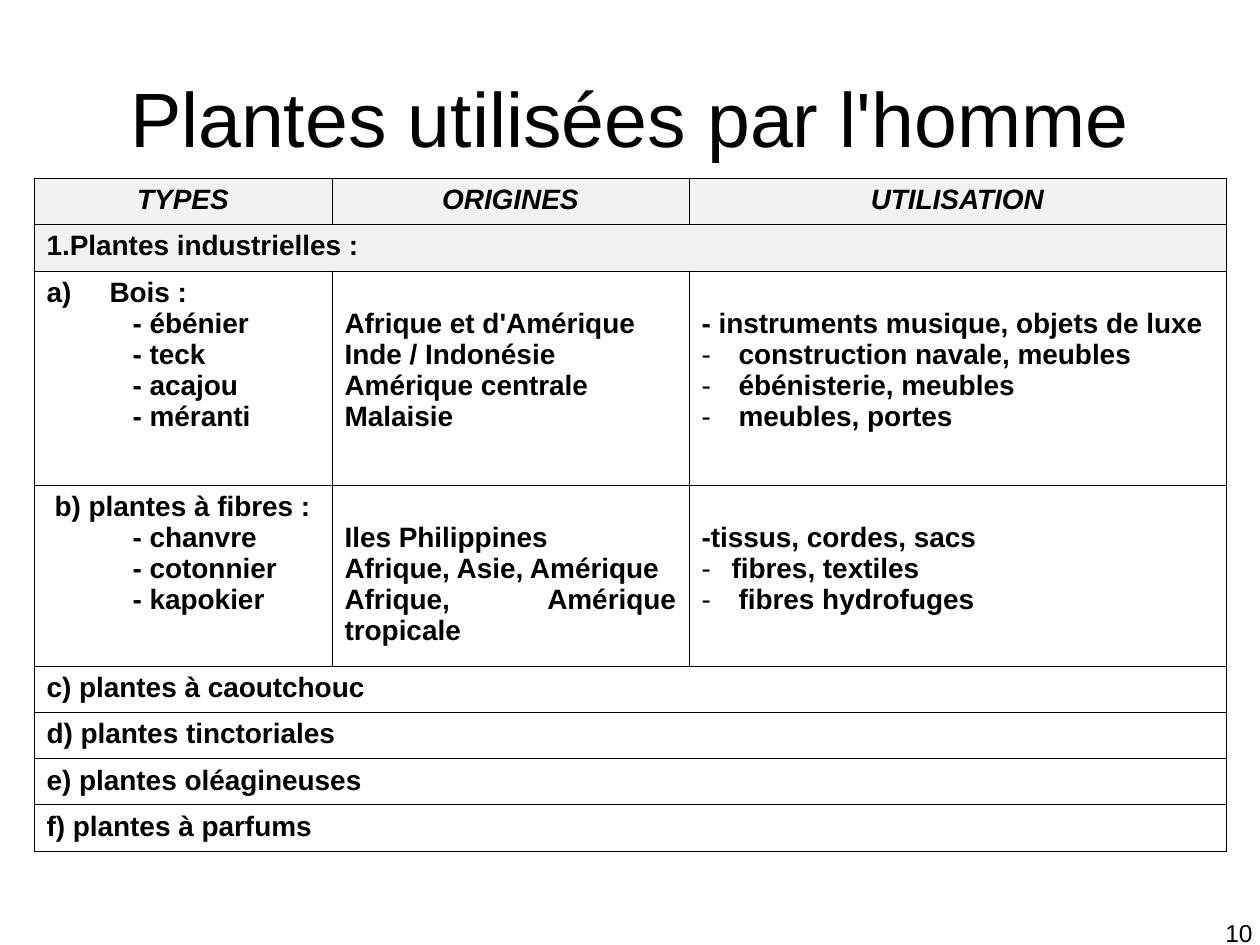
from itertools import pairwise

from lxml.etree import SubElement
from pptx import Presentation
from pptx.dml.color import RGBColor
from pptx.enum.text import MSO_ANCHOR, MSO_AUTO_SIZE, PP_ALIGN
from pptx.oxml.ns import qn
from pptx.util import Emu, Pt

TITLE = "Plantes utilisées par l'homme"
PAGE_NUMBER = "10"
HEADINGS = ["TYPES", "ORIGINES", "UTILISATION"]
SECTION = "1.Plantes industrielles :"

# Each line is (text, line style); the plant groups have one column per heading.
WOOD = [
    [("Bois :", "letter"), ("- ébénier", "item"), ("- teck", "item"),
     ("- acajou", "item"), ("- méranti", "item")],
    [("Afrique et d'Amérique", "plain"), ("Inde / Indonésie", "plain"),
     ("Amérique centrale", "plain"), ("Malaisie", "plain")],
    [("- instruments musique, objets de luxe", "plain"),
     ("construction navale, meubles", "dash"),
     ("ébénisterie, meubles", "dash"), ("meubles, portes", "dash")],
]
FIBRES = [
    [("b) plantes à fibres :", "group"), ("- chanvre", "item"),
     ("- cotonnier", "item"), ("- kapokier", "item")],
    [("Iles Philippines", "plain"), ("Afrique, Asie, Amérique", "plain"),
     ("Afrique, Amérique tropicale", "plain")],
    [("-tissus, cordes, sacs", "plain"), ("fibres, textiles", "short dash"),
     ("fibres hydrofuges", "dash")],
]
OTHER_GROUPS = ["c) plantes à caoutchouc", "d) plantes tinctoriales",
                "e) plantes oléagineuses", "f) plantes à parfums"]

THEME = {
    "font": "Arial", "ink": "000000", "shade": "F2F2F2",
    "title": 44, "table": 16, "page": 14, "border": 0.45,
}
LINE_STYLES = {
    "plain": {},
    "group": {"margin": 8},
    "item": {"margin": 86},
    "letter": {"margin": 63, "hang": 63, "bullet": ("a:buAutoNum", {"type": "alphaLcParenR"})},
    "dash": {"margin": 37, "hang": 37, "bullet": ("a:buChar", {"char": "-"})},
    "short dash": {"margin": 30, "hang": 30, "bullet": ("a:buChar", {"char": "-"})},
}

COLUMN_EDGES = [34, 332, 689, 1226]
ROW_EDGES = [178, 224, 271, 485, 666, 712, 759, 805, 852]
FIRST_LINE_DROP = 37
SLIDE_SIZE = (1260, 945)
TITLE_BOX = (63, 38, 1134, 158)
PAGE_BOX = (971, 912, 294, 65)


def px(length):
    return Emu(round(length * 914400 / 126))


def write(paragraph, text, size, align=PP_ALIGN.JUSTIFY, bold=False, italic=False,
          margin=0, hang=0, bullet=None):
    paragraph.alignment = align
    properties = paragraph._p.get_or_add_pPr()
    properties.set("marL", str(px(margin)))
    properties.set("indent", str(-px(hang)))
    if bullet:
        color = SubElement(properties, qn("a:buClr"))
        SubElement(color, qn("a:srgbClr"), val=THEME["ink"])
        SubElement(properties, qn("a:buFont"), typeface=THEME["font"])
        tag, attributes = bullet
        SubElement(properties, qn(tag), attributes)
    else:
        SubElement(properties, qn("a:buNone"))
    run = paragraph.add_run()
    run.text = text
    font = run.font
    font.name, font.size = THEME["font"], Pt(size)
    font.bold, font.italic = bold, italic
    font.color.rgb = RGBColor.from_string(THEME["ink"])


def style_cell(cell, shaded):
    properties = cell._tc.get_or_add_tcPr()
    for side in ("a:lnL", "a:lnR", "a:lnT", "a:lnB"):
        line = SubElement(properties, qn(side), w=str(Pt(THEME["border"])))
        fill = SubElement(line, qn("a:solidFill"))
        SubElement(fill, qn("a:srgbClr"), val=THEME["ink"])
    if shaded:
        cell.fill.solid()
        cell.fill.fore_color.rgb = RGBColor.from_string(THEME["shade"])
    else:
        cell.fill.background()


def fill_cell(cell, lines, **extra):
    frame = cell.text_frame
    for index, (text, style) in enumerate(lines):
        paragraph = frame.add_paragraph() if index else frame.paragraphs[0]
        write(paragraph, text, THEME["table"], bold=True, **LINE_STYLES[style], **extra)


def add_plant_table(slide):
    wide_rows = {1: SECTION, **dict(enumerate(OTHER_GROUPS, start=4))}
    left, top = COLUMN_EDGES[0], ROW_EDGES[0]
    table = slide.shapes.add_table(
        len(ROW_EDGES) - 1, len(HEADINGS), px(left), px(top),
        px(COLUMN_EDGES[-1] - left), px(ROW_EDGES[-1] - top)).table
    table.first_row = table.horz_banding = False
    for column, (start, end) in zip(table.columns, pairwise(COLUMN_EDGES)):
        column.width = px(end - start)
    for index, (row, (start, end)) in enumerate(zip(table.rows, pairwise(ROW_EDGES))):
        row.height = px(end - start)
        for cell in row.cells:
            style_cell(cell, shaded=index < 2)

    for column, heading in enumerate(HEADINGS):
        fill_cell(table.cell(0, column), [(heading, "plain")],
                  align=PP_ALIGN.CENTER, italic=True)
    for row, text in wide_rows.items():
        table.cell(row, 0).merge(table.cell(row, len(HEADINGS) - 1))
        fill_cell(table.cell(row, 0), [(text, "plain")])
    for row, group in enumerate((WOOD, FIBRES), start=2):
        for column, lines in enumerate(group):
            cell = table.cell(row, column)
            align = PP_ALIGN.JUSTIFY if column else PP_ALIGN.LEFT
            fill_cell(cell, lines, align=align)
            if column:
                cell.margin_top = px(FIRST_LINE_DROP)


def main():
    presentation = Presentation()
    presentation.slide_width, presentation.slide_height = map(px, SLIDE_SIZE)
    slide = presentation.slides.add_slide(presentation.slide_layouts[5])

    title = slide.shapes.title
    title.left, title.top, title.width, title.height = map(px, TITLE_BOX)
    title.text_frame.vertical_anchor = MSO_ANCHOR.MIDDLE
    title.text_frame.auto_size = MSO_AUTO_SIZE.NONE
    write(title.text_frame.paragraphs[0], TITLE, THEME["title"], align=PP_ALIGN.CENTER)

    add_plant_table(slide)

    page = slide.shapes.add_textbox(*map(px, PAGE_BOX)).text_frame
    page.word_wrap = True
    write(page.paragraphs[0], PAGE_NUMBER, THEME["page"], align=PP_ALIGN.RIGHT)

    presentation.save("out.pptx")


if __name__ == "__main__":
    main()
